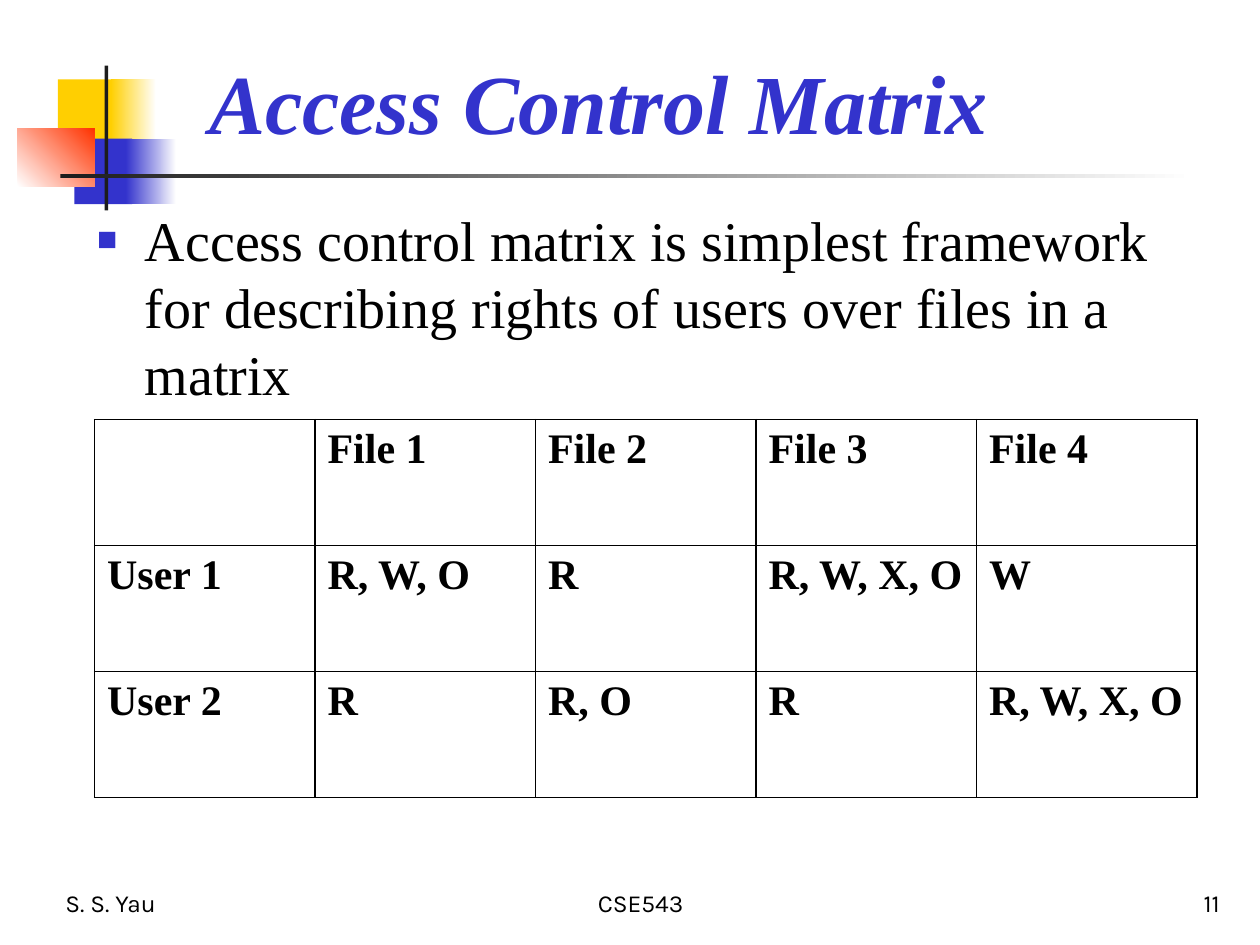
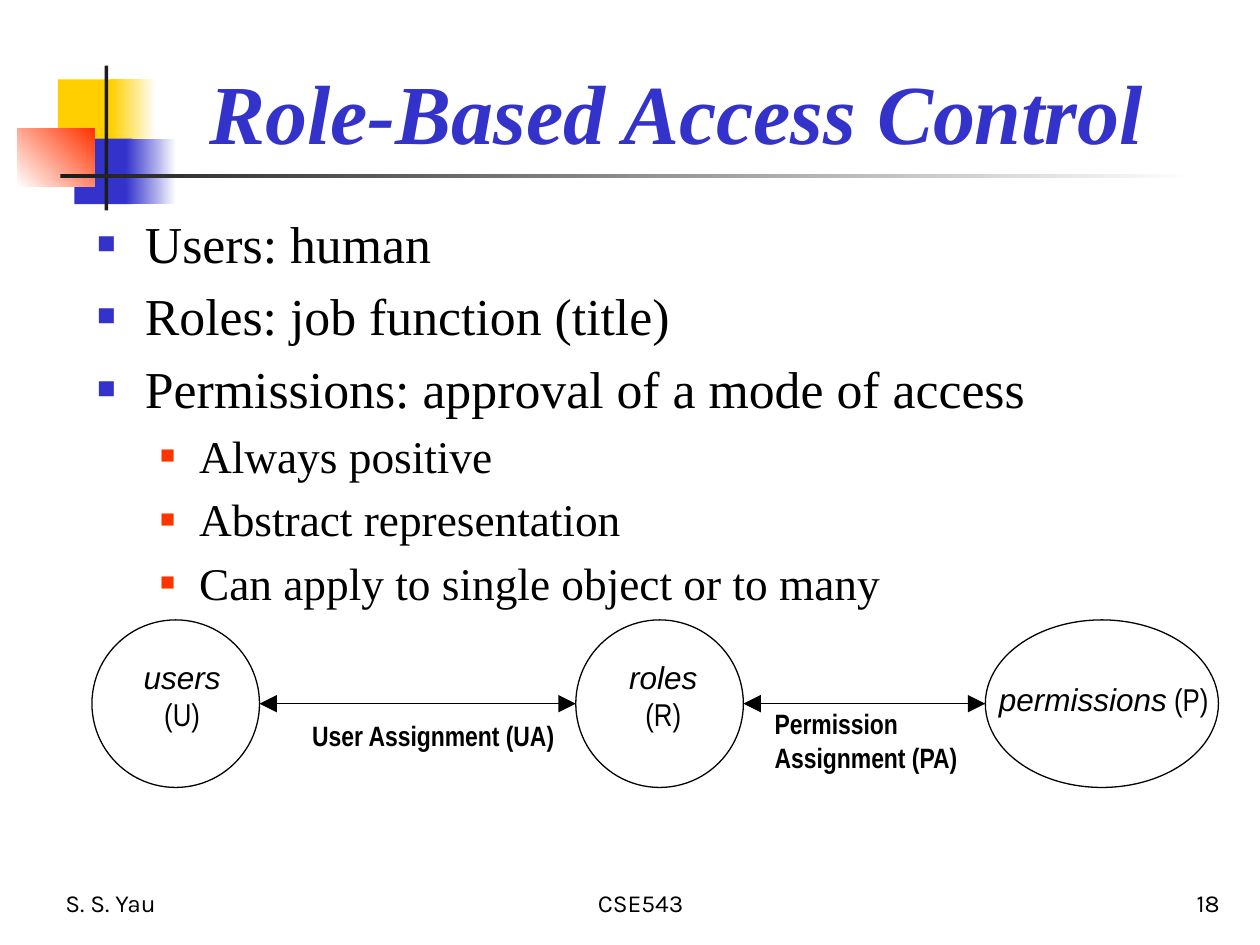
from dataclasses import dataclass

from lxml import etree
from pptx import Presentation
from pptx.dml.color import RGBColor
from pptx.enum.shapes import MSO_CONNECTOR, MSO_SHAPE
from pptx.enum.text import MSO_ANCHOR, MSO_AUTO_SIZE, PP_ALIGN
from pptx.oxml.ns import qn
from pptx.util import Inches, Pt

RECT, OVAL = MSO_SHAPE.RECTANGLE, MSO_SHAPE.OVAL
STRAIGHT = MSO_CONNECTOR.STRAIGHT
LEFT, CENTER, RIGHT = PP_ALIGN.LEFT, PP_ALIGN.CENTER, PP_ALIGN.RIGHT
TOP, BOTTOM = MSO_ANCHOR.TOP, MSO_ANCHOR.BOTTOM
FIXED, GROW = MSO_AUTO_SIZE.NONE, MSO_AUTO_SIZE.SHAPE_TO_FIT_TEXT

BLACK, WHITE, DARK = "000000", "FFFFFF", "1C1C1C"
YELLOW, BLUE, RED = "FFCF01", "3333CC", "FF3300"
SERIF, SANS, NARROW, FOOTER = "Times New Roman", "Arial", "Arial Narrow", "Karla"
Box = tuple[float, float, float, float]


@dataclass
class Band:
    box: Box
    start: str
    end: str | None = None  # a second colour makes a gradient
    angle: float = 0


@dataclass
class Level:
    indent: float
    hanging: float
    bullet_color: str
    bullet_percent: int


@dataclass
class Span:
    text: str
    size: float = 18
    font: str = SANS
    bold: bool = False
    italic: bool = False
    color: str = BLACK


@dataclass
class Label:
    box: Box
    lines: list[list[Span]]
    align: PP_ALIGN = LEFT
    wrap: bool = False
    anchor: MSO_ANCHOR = TOP
    fit: MSO_AUTO_SIZE = GROW


BANDS = [
    Band((0.46, 0.63, 0.48, 0.52), YELLOW),
    Band((0.88, 0.63, 0.36, 0.52), YELLOW, WHITE),
    Band((0.59, 1.1, 0.46, 0.52), BLUE),
    Band((1, 1.1, 0.4, 0.52), BLUE, WHITE),
    Band((0.14, 1.02, 0.61, 0.46), WHITE, RED, 45),
    Band((0.83, 0.52, 0.03, 1.15), DARK),
    Band((0.48, 1.38, 9, 0.03), DARK, WHITE),
]
LEVELS = [Level(0.38, 0.38, BLUE, 60), Level(0.81, 0.31, RED, 55)]


def rgb(color: str) -> RGBColor:
    return RGBColor.from_string(color)


def inches(box: Box) -> list[Inches]:
    return [Inches(v) for v in box]


def place(sp, box: Box) -> None:
    sp.left, sp.top, sp.width, sp.height = inches(box)


def style_run(r, span: Span) -> None:
    r.font.name, r.font.size = span.font, Pt(span.size)
    r.font.bold, r.font.italic = span.bold, span.italic
    r.font.color.rgb = rgb(span.color)


def add_spans(p, spans: list[Span]) -> None:
    for span in spans:
        r = p.add_run()
        r.text = span.text
        style_run(r, span)


def add_label(s, label: Label) -> None:
    tf = s.shapes.add_textbox(*inches(label.box)).text_frame
    tf.word_wrap, tf.auto_size = label.wrap, label.fit
    tf.vertical_anchor = label.anchor
    for i, spans in enumerate(label.lines):
        p = tf.add_paragraph() if i else tf.paragraphs[0]
        p.alignment = label.align
        add_spans(p, spans)


def add_band(s, band: Band) -> None:
    sp = s.shapes.add_shape(RECT, *inches(band.box))
    sp.shadow.inherit = False
    sp.line.fill.background()
    if band.end is None:
        sp.fill.solid()
        sp.fill.fore_color.rgb = rgb(band.start)
        return
    sp.fill.gradient()
    sp.fill.gradient_angle = band.angle
    for stop, color in zip(sp.fill.gradient_stops, (band.start, band.end)):
        stop.color.rgb = rgb(color)


def set_bullet(p, level: Level) -> None:
    pPr = p._p.get_or_add_pPr()
    pPr.set("marL", str(Inches(level.indent)))
    pPr.set("indent", str(-Inches(level.hanging)))
    color = etree.SubElement(pPr, qn("a:buClr"))
    etree.SubElement(color, qn("a:srgbClr"), val=level.bullet_color)
    etree.SubElement(pPr, qn("a:buSzPct"), val=str(level.bullet_percent * 1000))
    etree.SubElement(pPr, qn("a:buFont"), typeface=SANS)
    etree.SubElement(pPr, qn("a:buChar"), char="■")


def fill_body(s, box: Box, items: list[tuple[int, str]], sizes: list[float]) -> None:
    body = s.placeholders[1]
    place(body, box)
    tf = body.text_frame
    tf.auto_size = FIXED
    for i, (level, text) in enumerate(items):
        p = tf.add_paragraph() if i else tf.paragraphs[0]
        p.level = level
        p.space_before = Pt(round(sizes[level] * 0.2, 1))
        set_bullet(p, LEVELS[level])
        add_spans(p, [Span(text, sizes[level], SERIF)])


def add_slide(prs, title: str, title_height: float, number: int):
    """Start a slide with the shared bands, title and footers."""
    s = prs.slides.add_slide(prs.slide_layouts[1])
    for band in BANDS:
        add_band(s, band)
    place(s.shapes.title, (1.56, -0.25, 8.52, title_height))
    tf = s.shapes.title.text_frame
    tf.auto_size, tf.vertical_anchor = FIXED, BOTTOM
    p = tf.paragraphs[0]
    p.alignment = LEFT
    add_spans(p, [Span(title, 48, SERIF, True, True, BLUE)])
    for left, width, text, align in [
        (0.42, 2.08, "S. S. Yau", LEFT),
        (3.5, 3.17, "CSE543", CENTER),
        (7.7, 2.08, str(number), RIGHT),
    ]:
        add_label(s, Label((left, 7, width, 0.33), [[Span(text, 14, FOOTER)]],
                           align, True, BOTTOM, FIXED))
    return s


def border_cell(cell) -> None:
    tcPr = cell._tc.get_or_add_tcPr()
    for side in ("lnL", "lnR", "lnT", "lnB"):
        ln = etree.SubElement(tcPr, qn(f"a:{side}"), w=str(Pt(1)))
        fill = etree.SubElement(ln, qn("a:solidFill"))
        etree.SubElement(fill, qn("a:srgbClr"), val=BLACK)


def add_rights_table(s, rows: list[list[str]]) -> None:
    n_rows, n_cols = len(rows), len(rows[0])
    box = (0.75, 3.33, 1.75 * n_cols, n_rows)
    table = s.shapes.add_table(n_rows, n_cols, *inches(box)).table
    table.first_row = table.horz_banding = False
    for i, row in enumerate(rows):
        for j, text in enumerate(row):
            cell = table.cell(i, j)
            border_cell(cell)
            cell.fill.background()
            if text:
                add_spans(cell.text_frame.paragraphs[0], [Span(text, 24, SERIF, True)])


def add_node(s, left: float, width: float):
    sp = s.shapes.add_shape(OVAL, *inches((left, 4.92, width, 1.33)))
    sp.shadow.inherit = False
    sp.fill.solid()
    sp.fill.fore_color.rgb = rgb(WHITE)
    sp.line.color.rgb = rgb(BLACK)
    sp.line.width = Pt(0.75)
    return sp


def add_double_arrow(s, start, end) -> None:
    """Link the right side of one node to the left side of the next."""
    y = start.top + start.height // 2
    line = s.shapes.add_connector(STRAIGHT, start.left + start.width, y, end.left, y)
    line.line.color.rgb = rgb(BLACK)
    line.line.width = Pt(0.75)
    spPr = line.element.spPr
    ln = spPr.find(qn("a:ln"))
    for tip in ("headEnd", "tailEnd"):
        etree.SubElement(ln, qn(f"a:{tip}"), type="triangle", w="lg", len="lg")
    etree.SubElement(spPr, qn("a:effectLst"))


def build_matrix_slide(prs) -> None:
    s = add_slide(prs, "Access Control Matrix", 1.5, 11)
    fill_body(s, (0.67, 1.58, 9, 5.04), [
        (0, "Access control matrix is simplest framework for describing "
            "rights of users over files in a matrix"),
    ], [32])
    add_rights_table(s, [
        ["", "File 1", "File 2", "File 3", "File 4"],
        ["User 1", "R, W, O", "R", "R, W, X, O", "W"],
        ["User 2", "R", "R, O", "R", "R, W, X, O"],
    ])


def build_roles_slide(prs) -> None:
    s = add_slide(prs, "Role-Based Access Control", 1.58, 18)
    fill_body(s, (0.67, 1.63, 9, 2.87), [
        (0, "Users: human"),
        (0, "Roles: job function (title)"),
        (0, "Permissions: approval of a mode of access"),
        (1, "Always positive"),
        (1, "Abstract representation"),
        (1, "Can apply to single object or to many"),
    ], [29.6, 25.9])

    # Nodes and the assignments between them
    users, roles, permissions = [
        add_node(s, left, width)
        for left, width in [(0.73, 1.33), (4.57, 1.33), (7.82, 1.85)]
    ]
    add_double_arrow(s, users, roles)
    add_double_arrow(s, roles, permissions)

    # Node names
    for left, width, name, symbol in [(0.99, 0.91, "users", "(U)"),
                                      (4.83, 0.87, "roles", "(R)")]:
        lines = [[Span(name, italic=True)], [Span(symbol, font=NARROW)]]
        add_label(s, Label((left, 5.17, width, 0.9), lines, CENTER))
    add_label(s, Label((7.83, 5.35, 1.93, 0.4), [
        [Span("permissions", italic=True), Span(" (P)", font=NARROW)],
    ], wrap=True))

    # Assignment names
    for box, texts in [
        ((2.38, 5.65, 2.13, 0.37), ["User Assignment (UA)"]),
        ((6.05, 5.56, 1.67, 0.64), ["Permission", "Assignment (PA)"]),
    ]:
        add_label(s, Label(box, [[Span(t, 16, NARROW, True)] for t in texts]))


def main() -> None:
    prs = Presentation()
    prs.slide_width, prs.slide_height = Inches(10), Inches(7.5)
    build_matrix_slide(prs)
    build_roles_slide(prs)
    prs.save("out.pptx")


if __name__ == "__main__":
    main()
